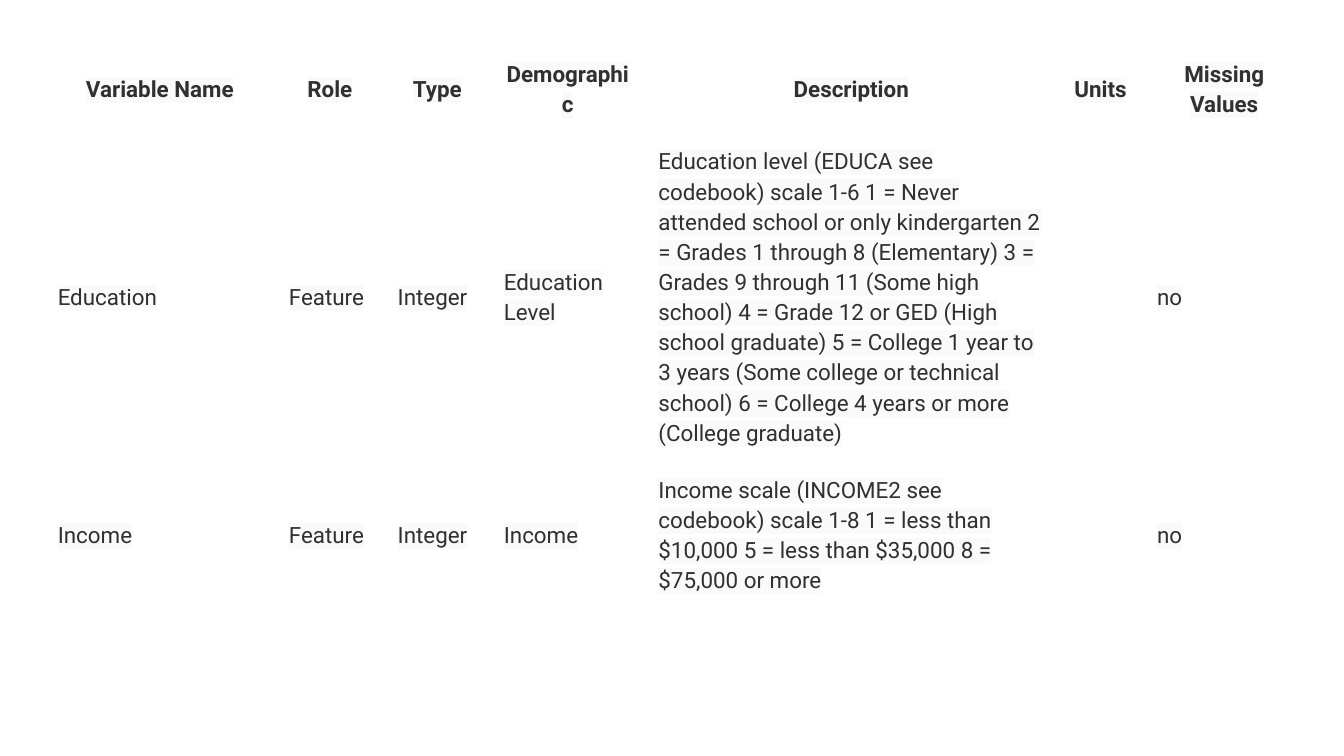
"""Builds a slide with a table that describes two survey variables."""
from dataclasses import dataclass

from lxml.etree import SubElement
from pptx import Presentation
from pptx.dml.color import RGBColor as RGB
from pptx.enum.text import MSO_ANCHOR as Anchor, PP_ALIGN as Align
from pptx.oxml.ns import qn
from pptx.util import Pt


@dataclass(frozen=True)
class Theme:
    font: str = "Roboto"
    size: float = 12
    ink: str = "303030"
    mark: str = "FAFAFA"
    rule: float = 0.75
    pad: float = 7.2
    lead: float = 1.15


theme = Theme()
widths = [123.84, 58.32, 56.88, 82.8, 221.04, 46.08, 86.4]
heights = [30.24, 154.08, 63.36]
rows = [
    ["Variable Name", "Role", "Type", "Demographic", "Description", "Units", "Missing Values"],
    ["Education", "Feature", "Integer", "Education Level",
     "Education level (EDUCA see codebook) scale 1-6 1 = Never attended school or only "
     "kindergarten 2 = Grades 1 through 8 (Elementary) 3 = Grades 9 through 11 (Some high "
     "school) 4 = Grade 12 or GED (High school graduate) 5 = College 1 year to 3 years (Some "
     "college or technical school) 6 = College 4 years or more (College graduate)", "", "no"],
    ["Income", "Feature", "Integer", "Income",
     "Income scale (INCOME2 see codebook) scale 1-8 1 = less than $10,000 "
     "5 = less than $35,000 8 = $75,000 or more", "", "no"],
]


def clear(cell):
    props = cell._tc.get_or_add_tcPr()
    for side in ("a:lnL", "a:lnR", "a:lnT", "a:lnB"):
        line = SubElement(props, qn(side), w=str(Pt(theme.rule)))
        SubElement(line, qn("a:noFill"))
    cell.fill.background()


def write(cell, text, head):
    para = cell.text_frame.paragraphs[0]
    para.line_spacing = theme.lead
    para.alignment = Align.CENTER if head else Align.LEFT
    run = para.add_run()
    run.text = text
    font = run.font
    font.size = Pt(theme.size)
    font.bold = head
    font.color.rgb = RGB.from_string(theme.ink)
    mark = SubElement(run._r.get_or_add_rPr(), qn("a:highlight"))
    SubElement(mark, qn("a:srgbClr"), val=theme.mark)
    font.name = theme.font


deck = Presentation()
deck.slide_width, deck.slide_height = Pt(720), Pt(405)
slide = deck.slides.add_slide(deck.slide_layouts[6])

frame = slide.shapes.add_table(len(rows), len(widths), Pt(23.76), Pt(23.76),
                               Pt(sum(widths)), Pt(sum(heights)))
table = frame.table
table.first_row = table.horz_banding = False
for col, width in zip(table.columns, widths):
    col.width = Pt(width)
for row, height in zip(table.rows, heights):
    row.height = Pt(height)

for i, row in enumerate(rows):
    for j, text in enumerate(row):
        cell = table.cell(i, j)
        clear(cell)
        cell.vertical_anchor = Anchor.MIDDLE
        cell.margin_left = cell.margin_right = Pt(theme.pad)
        cell.margin_top = cell.margin_bottom = Pt(theme.pad)
        if text:
            write(cell, text, i == 0)

deck.save("out.pptx")
